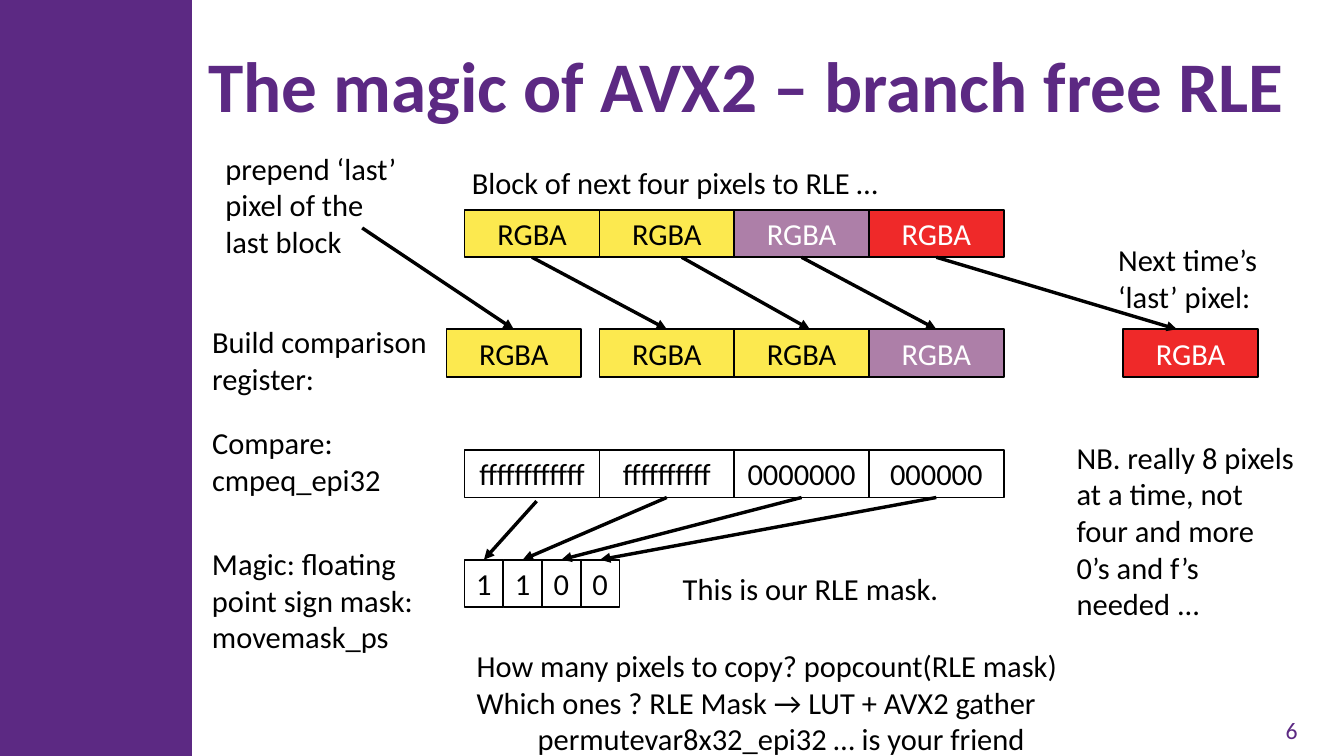
from lxml import etree
from pptx import Presentation
from pptx.dml.color import RGBColor
from pptx.enum.shapes import MSO_CONNECTOR as CONN, MSO_SHAPE as SHAPE
from pptx.enum.text import MSO_ANCHOR as ANCHOR, PP_ALIGN as ALIGN
from pptx.oxml.ns import qn
from pptx.util import Inches, Pt

COLORS = {
    "brand": "5C2983", "black": "000000", "white": "FFFFFF",
    "yellow": "FCE94F", "plum": "AD7FA8", "red": "EF2929",
}
FONT = "Calibri"
ROW_X, ROW_W, CELL_H = 3.81, 4.42, 0.39
CELL_W = ROW_W / 4
MASK_W = 1.27
BLOCK_Y, REGISTER_Y, COMPARE_Y, MASK_Y = 1.72, 2.7, 3.69, 4.59
YELLOW, PLUM, RED = ("yellow", "black"), ("plum", "white"), ("red", "white")
OUTLINED = (None, "black")


def rgb(name):
    return RGBColor.from_string(COLORS[name])


def add_run(p, text, size=18, color="black", bold=False):
    r = p.add_run()
    r.text = text
    r.font.name = FONT
    r.font.size = Pt(size)
    r.font.bold = bold
    r.font.color.rgb = rgb(color)


def set_insets(tf, x, y):
    tf.margin_left = tf.margin_right = Inches(x)
    tf.margin_top = tf.margin_bottom = Inches(y)


def add_text(s, paragraphs, x, y, w, h, inset=(0.1, 0.05), anchor=ANCHOR.TOP,
             align=ALIGN.LEFT, **style):
    """Each paragraph is a list of lines."""
    tf = s.shapes.add_textbox(Inches(x), Inches(y), Inches(w), Inches(h)).text_frame
    tf.word_wrap = True
    tf.vertical_anchor = anchor
    set_insets(tf, *inset)
    for i, lines in enumerate(paragraphs):
        p = tf.add_paragraph() if i else tf.paragraphs[0]
        p.alignment = align
        for j, line in enumerate(lines):
            if j:
                p.add_line_break()
            add_run(p, line, **style)


def add_box(s, x, y, w, h, fill, line, line_pt):
    sp = s.shapes.add_shape(SHAPE.RECTANGLE, Inches(x), Inches(y), Inches(w), Inches(h))
    sp.shadow.inherit = False
    if fill:
        sp.fill.solid()
        sp.fill.fore_color.rgb = rgb(fill)
    else:
        sp.fill.background()
    sp.line.color.rgb = rgb(line)
    sp.line.width = Pt(line_pt)
    return sp


def add_cell(s, text, look, x, y, w=CELL_W):
    fill, color = look
    sp = add_box(s, x, y, w, CELL_H, fill, "black", 1)
    tf = sp.text_frame
    tf.word_wrap = False
    tf.vertical_anchor = ANCHOR.MIDDLE
    set_insets(tf, 0.11, 0.06)
    p = tf.paragraphs[0]
    p.alignment = ALIGN.CENTER
    add_run(p, text, color=color)
    return sp


def add_row(s, texts, looks, x, y, w=CELL_W):
    return [add_cell(s, text, look, x + i * w, y, w)
            for i, (text, look) in enumerate(zip(texts, looks))]


def add_arrow(s, start, end):
    """Ends are points, or cells joined bottom to top."""
    ends = [Inches(v) for pt in (start, end)
            for v in (pt if isinstance(pt, tuple) else (0, 0))]
    c = s.shapes.add_connector(CONN.STRAIGHT, *ends)
    if not isinstance(start, tuple):
        c.begin_connect(start, 2)
    if not isinstance(end, tuple):
        c.end_connect(end, 0)
    c.line.color.rgb = rgb("black")
    c.line.width = Pt(0)
    etree.SubElement(c.line._get_or_add_ln(), qn("a:tailEnd"), type="triangle")
    etree.SubElement(c._element.spPr, qn("a:effectLst"))


def main():
    prs = Presentation()
    prs.slide_width, prs.slide_height = Inches(11.02), Inches(6.2)
    s = prs.slides.add_slide(prs.slide_layouts[6])

    # Side band and title
    add_box(s, 0, 0, 1.57, 6.2, "brand", "brand", 0)
    add_text(s, [["The magic of AVX2 – branch free RLE"]], 1.71, 0.17, 9.21, 0.87,
             inset=(0, 0), anchor=ANCHOR.BOTTOM, size=42, color="brand", bold=True)

    # Pixel block and comparison register
    block = add_row(s, ["RGBA"] * 4, [YELLOW, YELLOW, PLUM, RED], ROW_X, BLOCK_Y)
    prepended = add_cell(s, "RGBA", YELLOW, 3.66, REGISTER_Y)
    register = add_row(s, ["RGBA"] * 3, [YELLOW, YELLOW, PLUM],
                       ROW_X + CELL_W, REGISTER_Y)
    add_cell(s, "RGBA", RED, 9.21, REGISTER_Y)

    # Comparison result and mask bits
    compare = add_row(s, ["ffffffffffff", "ffffffffff", "0000000", "000000"],
                      [OUTLINED] * 4, ROW_X, COMPARE_Y)
    mask = add_row(s, "1100", [OUTLINED] * 4, ROW_X, MASK_Y, MASK_W / 4)

    # Arrows
    block_bottom = BLOCK_Y + CELL_H
    for start, end in [
        (block[0], register[0]),
        ((5.59, block_bottom), (6.64, REGISTER_Y)),
        (block[2], register[2]),
        (block[3], (9.65, REGISTER_Y)),
        ((2.97, 1.87), prepended),
        ((4.4, 4.11), mask[0]),
        *zip(compare[1:], mask[1:]),
    ]:
        add_arrow(s, start, end)

    # Labels
    for paragraphs, x, y, w, h in [
        ([["Block of next four pixels to RLE …"]], 3.77, 1.3, 4.02, 0.4),
        ([["prepend ‘last’", "pixel of the", "last block"]], 1.75, 1.18, 1.9, 1.01),
        ([["Next time’s", "‘last’ pixel:"]], 9.07, 1.93, 1.9, 0.71),
        ([["Build comparison", "register:"]], 1.64, 2.6, 2.02, 0.71),
        ([["Compare:", "cmpeq_epi32"]], 1.64, 3.43, 2.02, 0.71),
        ([["Magic: floating", "point sign mask:"], ["movemask_ps"]],
         1.64, 4.42, 1.94, 1.01),
        ([["NB. really 8 pixels at a time, not four and more 0’s and f’s needed ..."]],
         8.73, 3.55, 1.98, 1.32),
        ([["This is our RLE mask."]], 5.5, 4.63, 3.06, 0.4),
        ([["How many pixels to copy? popcount(RLE mask)"],
          ["Which ones ? RLE Mask → LUT + AVX2 gather"],
          ["\tpermutevar8x32_epi32 … is your friend"]], 3.81, 5.26, 6.82, 0.94),
    ]:
        add_text(s, paragraphs, x, y, w, h)

    # Slide number
    add_text(s, [["6"]], 9.44, 5.87, 1.2, 0.24, inset=(0, 0), align=ALIGN.RIGHT,
             size=14, color="brand")

    prs.save("out.pptx")


if __name__ == "__main__":
    main()
